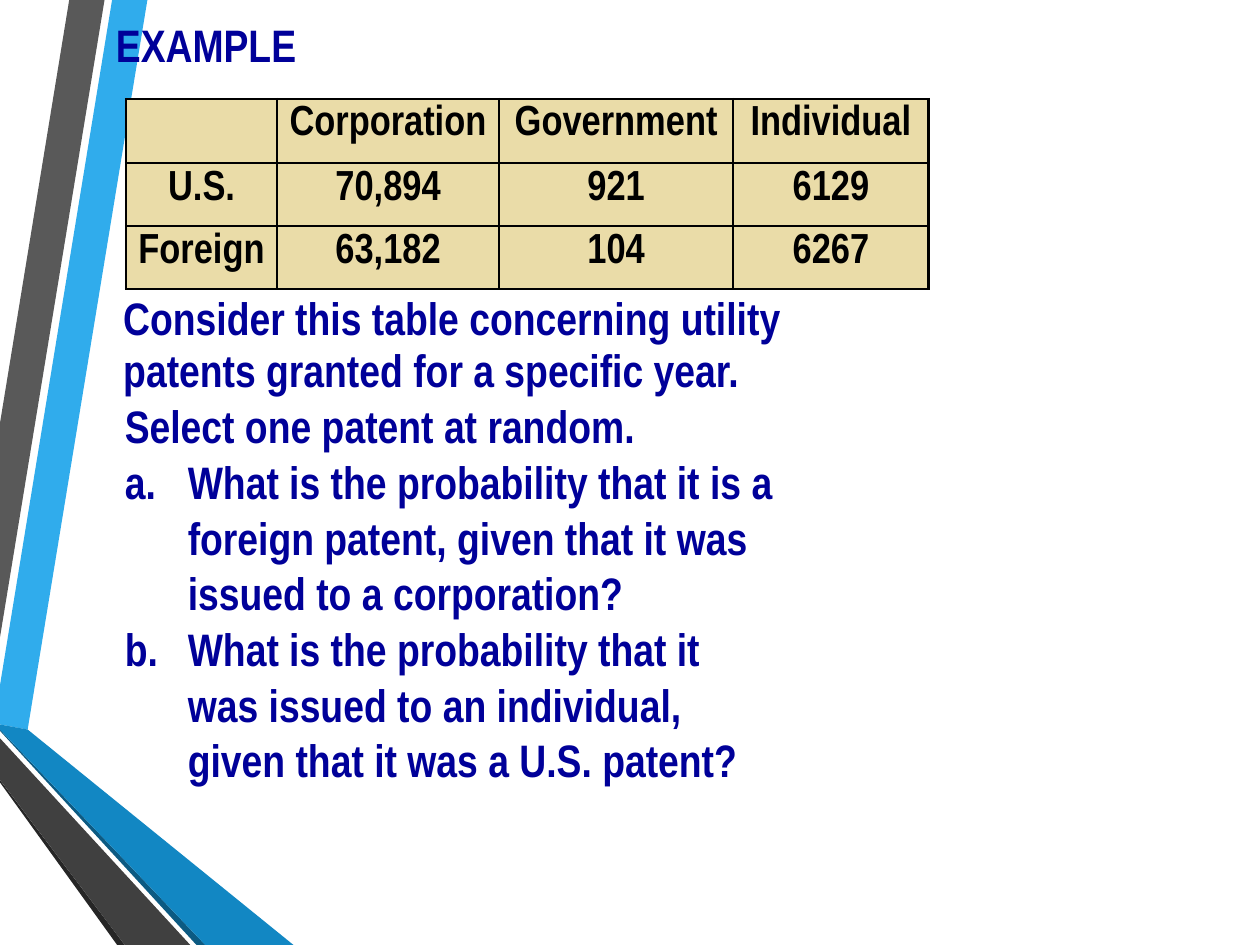
from dataclasses import dataclass

from lxml.etree import SubElement
from pptx import Presentation
from pptx.dml.color import RGBColor
from pptx.enum.text import MSO_ANCHOR, MSO_AUTO_SIZE, PP_ALIGN
from pptx.oxml.ns import qn
from pptx.util import Inches, Pt


@dataclass(frozen=True)
class Theme:
    face: str = "Arial Narrow"
    ink: str = "000099"
    table_ink: str = "000000"
    table_fill: str = "EADCA8"
    sky: str = "30ACEC"
    sky_dark: str = "1287C3"
    sky_shade: str = "0C5A82"
    grey: str = "595959"
    grey_dark: str = "404040"
    grey_shade: str = "262626"
    text_size: float = 26
    table_size: float = 24
    border: float = 1.47


# The grid has 100 columns and 75 rows
COLUMNS, ROWS = 100, 75
TIGHT = {"line_spacing": 0.5, "space_before": Pt(16.2)}


def apply(target, values):
    for name, value in values.items():
        setattr(target, name, value)


class PatentSlide:
    def __init__(self, deck, theme):
        self.theme = theme
        self.slide = deck.slides.add_slide(deck.slide_layouts[1])
        self.shapes = self.slide.shapes
        self.column = deck.slide_width / COLUMNS
        self.row = deck.slide_height / ROWS

    def place(self, left, top, width, height):
        return [round(size * unit) for size, unit in zip(
            (left, top, width, height), (self.column, self.row) * 2)]

    def style(self, paragraph, size, colour, values):
        apply(paragraph, values)
        apply(paragraph.font, {"name": self.theme.face, "size": Pt(size), "bold": True})
        paragraph.font.color.rgb = RGBColor.from_string(colour)

    def fill_frame(self, frame, lines, values):
        apply(frame, {"word_wrap": True, "auto_size": MSO_AUTO_SIZE.NONE,
                      "vertical_anchor": MSO_ANCHOR.TOP})
        frame.text = "\n".join(lines)
        for index, paragraph in enumerate(frame.paragraphs):
            first = {"space_before": Pt(0)} if index == 0 else {}
            self.style(paragraph, self.theme.text_size, self.theme.ink, values | first)
        return frame.paragraphs

    def ribbons(self, outlines):
        group = self.shapes.add_group_shape()
        for colour, points in outlines:
            corners = [(x * self.column, y * self.row) for x, y in points]
            builder = group.shapes.build_freeform(*corners[0])
            builder.add_line_segments(corners[1:], close=True)
            ribbon = builder.convert_to_shape()
            ribbon.shadow.inherit = False
            ribbon.fill.solid()
            ribbon.fill.fore_color.rgb = RGBColor.from_string(colour)
            ribbon.line.fill.background()
        # Send behind the placeholders
        tree = group._element.getparent()
        tree.insert(2, group._element)

    def move(self, shape, area):
        apply(shape, dict(zip(("left", "top", "width", "height"), self.place(*area))))

    def title(self, text, area):
        heading = self.shapes.title
        self.move(heading, area)
        self.fill_frame(heading.text_frame, [text], TIGHT | {"alignment": PP_ALIGN.LEFT})

    def intro(self, lines, area):
        box = self.shapes.add_textbox(*self.place(*area))
        self.fill_frame(box.text_frame, lines,
                        {"alignment": PP_ALIGN.JUSTIFY, "line_spacing": 0.95})

    def questions(self, lead, questions, area):
        body = self.slide.placeholders[1]
        self.move(body, area)
        lines = [lead] + [line for question in questions for line in question]
        paragraphs = self.fill_frame(body.text_frame, lines, TIGHT)
        starts = {question[0]: number for number, question in enumerate(questions, 1)}
        indent = Inches(0.5)
        for paragraph in paragraphs:
            number = starts.get(paragraph.text)
            hanging = number or paragraph.text == lead
            properties = paragraph._p.get_or_add_pPr()
            properties.set("marL", str(indent))
            properties.set("indent", str(-indent if hanging else 0))
            # Bullets go ahead of the default run properties
            bullet = SubElement(properties, qn("a:buAutoNum" if number else "a:buNone"))
            if number:
                bullet.set("type", "alphaLcPeriod")
                bullet.set("startAt", str(number))
            properties.find(qn("a:defRPr")).addprevious(bullet)

    def border(self, cell):
        properties = cell._tc.get_or_add_tcPr()
        for side in ("L", "R", "T", "B"):
            line = SubElement(properties, qn(f"a:ln{side}"), w=str(Pt(self.theme.border)))
            paint = SubElement(line, qn("a:solidFill"))
            SubElement(paint, qn("a:srgbClr"), val=self.theme.table_ink)

    def table(self, records, widths, heights, left, top):
        area = self.place(left, top, sum(widths), sum(heights))
        grid = self.shapes.add_table(len(records), len(widths), *area).table
        apply(grid, {"first_row": False, "horz_banding": False})
        for column, width in zip(grid.columns, widths):
            column.width = round(width * self.column)
        for row, height, record in zip(grid.rows, heights, records):
            row.height = round(height * self.row)
            for cell, text in zip(row.cells, record):
                cell.text = text
                apply(cell, {"margin_left": Inches(0.08), "margin_right": Inches(0.08)})
                self.border(cell)
                cell.fill.solid()
                cell.fill.fore_color.rgb = RGBColor.from_string(self.theme.table_fill)
                self.style(cell.text_frame.paragraphs[0], self.theme.table_size,
                           self.theme.table_ink, {"alignment": PP_ALIGN.CENTER})


def main():
    deck = Presentation()
    apply(deck, {"slide_width": Inches(10), "slide_height": Inches(7.5)})
    theme = Theme()
    page = PatentSlide(deck, theme)

    # Ribbons along the left edge
    page.ribbons([
        (theme.sky, [(0, 54.4), (0, 57.5), (2.2, 57.9), (11.7, 0), (8.9, 0)]),
        (theme.grey, [(8.3, 0), (5.5, 0), (0, 33.6), (0, 50.6)]),
        (theme.grey_shade, [(0, 61.9), (0, 62.1), (9.3, 75), (9.9, 75)]),
        (theme.sky_shade, [(0, 57.9), (0, 58), (15.6, 75), (16.3, 75)]),
        (theme.sky_dark, [(0, 57.9), (16.3, 75), (23.3, 75), (2.2, 57.9), (0, 57.5)]),
        (theme.grey_dark, [(0, 61.9), (9.9, 75), (15.1, 75), (0, 58.6)]),
    ])

    # Heading and patent counts
    page.title("EXAMPLE", (8.2, 2.7, 18, 3.2))
    page.table([
        ("", "Corporation", "Government", "Individual"),
        ("U.S.", "70,894", "921", "6129"),
        ("Foreign", "63,182", "104", "6267"),
    ], widths=(12, 17.6, 18.6, 15.5), heights=(5.1, 5, 5), left=10, top=7.85)

    # Problem statement and questions
    page.intro(["Consider this table concerning utility",
                "patents granted for a specific year."], (8.8, 22.85, 69.6, 9.3))
    page.questions("Select one patent at random.", [
        ("What is the probability that it is a",
         "foreign patent, given that it was",
         "issued to a corporation?"),
        ("What is the probability that it",
         "was issued to an individual,",
         "given that it was a U.S. patent?"),
    ], (8.9, 33, 62.6, 29.7))

    deck.save("out.pptx")


if __name__ == "__main__":
    main()
